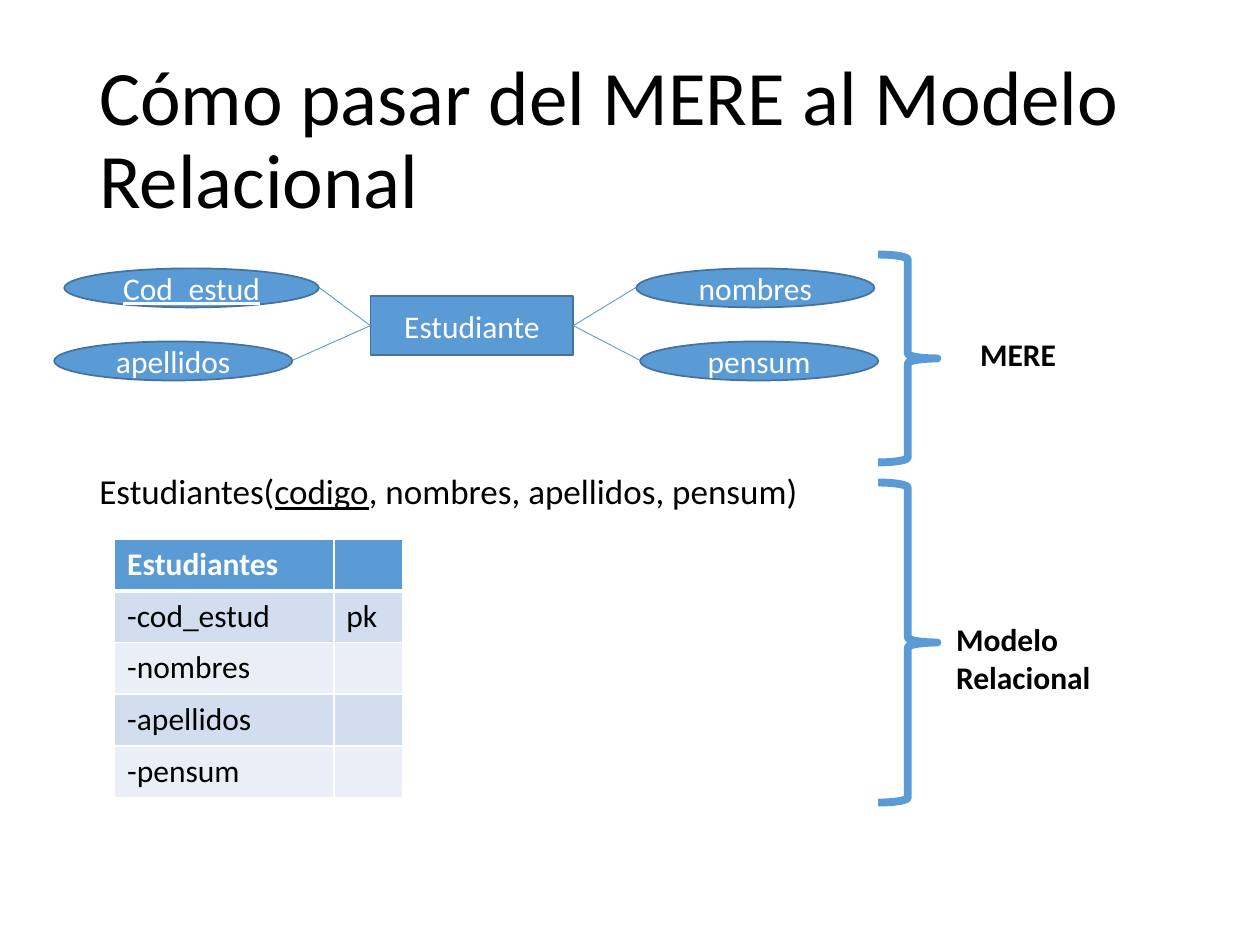
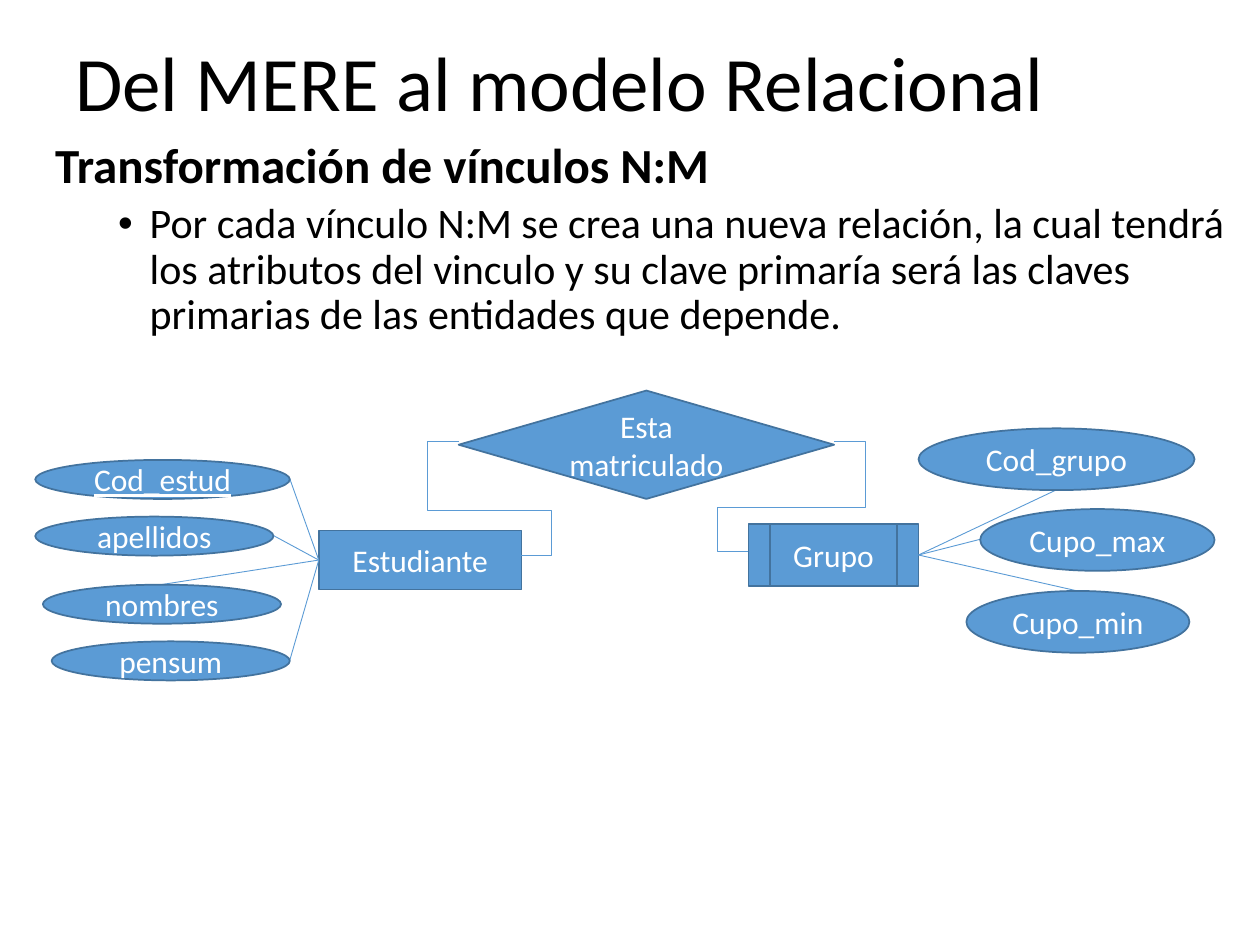
from dataclasses import dataclass
from typing import NamedTuple

from lxml.etree import SubElement
from pptx import Presentation
from pptx.dml.color import RGBColor
from pptx.enum.shapes import MSO_CONNECTOR, MSO_SHAPE
from pptx.enum.text import MSO_ANCHOR, MSO_AUTO_SIZE, PP_ALIGN
from pptx.oxml.ns import qn
from pptx.util import Pt

PX = 9144  # 100 px to the inch
LEFT, RIGHT = 1, 3  # connection sites of a rectangle


@dataclass(frozen=True)
class Theme:
    font: str = "Calibri"
    ink: str = "000000"
    white: str = "FFFFFF"
    accent: str = "5B9BD5"
    outline: str = "43739E"
    bands: tuple[str, str] = ("D2DEEF", "EAEFF7")
    title: int = 44
    heading: int = 28
    body: int = 24
    schema: int = 20
    label: int = 18
    thin: float = 0.5
    edge: float = 1
    brace: float = 4.5


THEME = Theme()


class Box(NamedTuple):
    left: int
    top: int
    width: int
    height: int

    def emu(self) -> list[int]:
        return [value * PX for value in self]

    def anchor(self, side: str) -> tuple[int, int]:
        middle_x = self.left + self.width // 2
        middle_y = self.top + self.height // 2
        return {
            "left": (self.left, middle_y),
            "right": (self.left + self.width, middle_y),
            "top": (middle_x, self.top),
            "bottom": (middle_x, self.top + self.height),
        }[side]


class Attribute(NamedTuple):
    label: str
    box: Box
    side: str  # side of the ellipse where its line ends
    entity_site: int
    key: bool = False


class Entity(NamedTuple):
    label: str
    box: Box
    attributes: list[Attribute]
    preset: MSO_SHAPE = MSO_SHAPE.RECTANGLE


def color(value: str) -> RGBColor:
    return RGBColor.from_string(value)


# Text
def write(para, text: str, *, size: int = THEME.label, ink: str = THEME.ink,
          bold: bool = False, underline: bool = False) -> None:
    span = para.add_run()
    span.text = text
    span.font.name = THEME.font
    span.font.size = Pt(size)
    span.font.bold = bold
    span.font.underline = underline
    span.font.color.rgb = color(ink)


def add_text_frame(slide, box: Box, *, wrap: bool = True):
    frame = slide.shapes.add_textbox(*box.emu()).text_frame
    frame.word_wrap = wrap
    frame.auto_size = MSO_AUTO_SIZE.NONE
    return frame


def add_title(slide, text: str, box: Box) -> None:
    frame = add_text_frame(slide, box)
    frame.vertical_anchor = MSO_ANCHOR.MIDDLE
    frame.paragraphs[0].line_spacing = 0.9
    write(frame.paragraphs[0], text, size=THEME.title)


def add_label(slide, lines: list[str], box: Box, *, wrap: bool = True) -> None:
    frame = add_text_frame(slide, box, wrap=wrap)
    for index, line in enumerate(lines):
        para = frame.add_paragraph() if index else frame.paragraphs[0]
        write(para, line, bold=True)


def set_bullet(para, margin: int, indent: int) -> None:
    properties = para._p.get_or_add_pPr()
    properties.set("marL", str(margin * PX))
    properties.set("indent", str(indent * PX))
    SubElement(properties, qn("a:buFont"), typeface="Arial")
    SubElement(properties, qn("a:buChar"), char="•")


# Shapes and lines
def add_node(slide, preset: MSO_SHAPE, label: str, box: Box, *, underline: bool = False):
    shape = slide.shapes.add_shape(preset, *box.emu())
    shape.shadow.inherit = False
    shape.fill.solid()
    shape.fill.fore_color.rgb = color(THEME.accent)
    shape.line.color.rgb = color(THEME.outline)
    shape.line.width = Pt(THEME.edge)
    frame = shape.text_frame
    frame.word_wrap = True
    frame.vertical_anchor = MSO_ANCHOR.MIDDLE
    frame.paragraphs[0].alignment = PP_ALIGN.CENTER
    write(frame.paragraphs[0], label, ink=THEME.white, underline=underline)
    return shape


def add_line(slide, kind: MSO_CONNECTOR, start: tuple[int, int], end: tuple[int, int]):
    points = [value * PX for value in (*start, *end)]
    line = slide.shapes.add_connector(kind, *points)
    line.line.color.rgb = color(THEME.accent)
    line.line.width = Pt(THEME.thin)
    SubElement(line._element.spPr, qn("a:effectLst"))
    return line


def add_looped_line(slide, start: tuple[int, int], end: tuple[int, int],
                    *, turn: float, stub: int = 25) -> None:
    """Five-part elbow that leaves each end by a stub and crosses at turn."""
    line = add_line(slide, MSO_CONNECTOR.ELBOW, start, end)
    geometry = line._element.spPr.find(qn("a:prstGeom"))
    geometry.set("prst", "bentConnector5")
    guides = geometry.find(qn("a:avLst"))
    if guides is None:
        guides = SubElement(geometry, qn("a:avLst"))
    reach = stub / abs(end[0] - start[0])
    for number, ratio in enumerate((-reach, turn, 1 + reach), start=1):
        SubElement(guides, qn("a:gd"), name=f"adj{number}",
                   fmla=f"val {round(ratio * 100000)}")


def add_entity(slide, entity: Entity) -> None:
    node = add_node(slide, entity.preset, entity.label, entity.box)
    for attribute in entity.attributes:
        start = entity.box.anchor("left" if attribute.entity_site == LEFT else "right")
        line = add_line(slide, MSO_CONNECTOR.STRAIGHT, start,
                        attribute.box.anchor(attribute.side))
        line.begin_connect(node, attribute.entity_site)
        add_node(slide, MSO_SHAPE.OVAL, attribute.label, attribute.box,
                 underline=attribute.key)


def add_brace(slide, box: Box) -> None:
    brace = slide.shapes.add_shape(MSO_SHAPE.RIGHT_BRACE, *box.emu())
    brace.shadow.inherit = False
    brace.fill.background()
    brace.line.color.rgb = color(THEME.accent)
    brace.line.width = Pt(THEME.brace)


# Table
def set_border(cell, edge: str, width: float) -> None:
    properties = cell._tc.get_or_add_tcPr()
    border = SubElement(properties, qn(f"a:ln{edge}"), w=str(Pt(width)))
    fill = SubElement(border, qn("a:solidFill"))
    SubElement(fill, qn("a:srgbClr"), val=THEME.white)


def add_relation_table(slide, rows: list[tuple[str, str]], left: int, top: int,
                       widths: list[int], row_height: int) -> None:
    box = Box(left, top, sum(widths), row_height * len(rows))
    table = slide.shapes.add_table(len(rows), len(widths), *box.emu()).table
    for column, width in zip(table.columns, widths):
        column.width = width * PX
    for row_index, row in enumerate(rows):
        table.rows[row_index].height = row_height * PX
        header = row_index == 0
        for column_index, text in enumerate(row):
            cell = table.cell(row_index, column_index)
            for edge in "LRTB":
                thick = (row_index, edge) in ((0, "B"), (1, "T"))
                set_border(cell, edge, 3 if thick else 1)
            cell.fill.solid()
            fill = THEME.accent if header else THEME.bands[(row_index - 1) % 2]
            cell.fill.fore_color.rgb = color(fill)
            if text:
                write(cell.text_frame.paragraphs[0], text, bold=header,
                      ink=THEME.white if header else THEME.ink)


# Slides
def build_entity_slide(slide) -> None:
    add_title(slide, "Cómo pasar del MERE al Modelo Relacional", Box(69, 40, 862, 145))
    add_entity(slide, Entity("Estudiante", Box(294, 235, 161, 47), [
        Attribute("Cod_estud", Box(51, 213, 202, 31), "right", LEFT, key=True),
        Attribute("nombres", Box(505, 213, 189, 31), "left", RIGHT),
        Attribute("apellidos", Box(43, 271, 189, 31), "right", LEFT),
        Attribute("pensum", Box(508, 271, 189, 31), "left", RIGHT),
    ]))

    schema = add_text_frame(slide, Box(69, 368, 579, 44), wrap=False).paragraphs[0]
    write(schema, "Estudiantes(", size=THEME.schema)
    write(schema, "codigo", size=THEME.schema, underline=True)
    write(schema, ", nombres, apellidos, pensum)", size=THEME.schema)

    rows = [("Estudiantes", ""), ("-cod_estud", "pk"), ("-nombres", ""),
            ("-apellidos", ""), ("-pensum", "")]
    add_relation_table(slide, rows, 91, 428, [174, 55], 41)

    add_brace(slide, Box(697, 202, 47, 165))
    add_label(slide, ["MERE"], Box(768, 261, 81, 40), wrap=False)
    add_brace(slide, Box(697, 383, 47, 254))
    add_label(slide, ["Modelo", "Relacional"], Box(749, 487, 161, 71))


def build_relationship_slide(slide) -> None:
    add_title(slide, "Del MERE al modelo Relacional", Box(50, 30, 900, 77))

    frame = add_text_frame(slide, Box(34, 107, 953, 236))
    heading = frame.paragraphs[0]
    heading.line_spacing = 0.9
    write(heading, "Transformación de vínculos N:M", size=THEME.heading, bold=True)
    rule = frame.add_paragraph()
    set_bullet(rule, 75, -25)
    rule.level = 1
    rule.line_spacing = 0.9
    rule.space_before = Pt(5)
    write(rule, "Por cada vínculo N:M se crea una nueva relación, la cual tendrá "
                "los atributos del vinculo y su clave primaría será las claves "
                "primarias de las entidades que depende.", size=THEME.body)

    add_entity(slide, Entity("Estudiante", Box(253, 421, 161, 47), [
        Attribute("Cod_estud", Box(28, 365, 202, 31), "right", LEFT, key=True),
        Attribute("nombres", Box(34, 464, 189, 31), "top", LEFT),
        Attribute("apellidos", Box(28, 410, 189, 31), "right", LEFT),
        Attribute("pensum", Box(41, 509, 189, 31), "right", LEFT),
    ]))
    add_entity(slide, Entity("Grupo", Box(594, 416, 135, 49), [
        Attribute("Cod_grupo", Box(729, 340, 219, 49), "bottom", RIGHT),
        Attribute("Cupo_min", Box(767, 469, 177, 49), "top", RIGHT),
        Attribute("Cupo_max", Box(778, 404, 186, 49), "left", RIGHT),
    ], MSO_SHAPE.FLOWCHART_PREDEFINED_PROCESS))

    add_node(slide, MSO_SHAPE.FLOWCHART_DECISION, "Esta matriculado",
             Box(364, 310, 298, 86))
    add_looped_line(slide, (413, 441), (364, 350), turn=0.39)
    add_looped_line(slide, (594, 438), (662, 350), turn=0.4)


def main() -> None:
    deck = Presentation()
    deck.slide_width, deck.slide_height = 1000 * PX, 750 * PX
    for build in (build_entity_slide, build_relationship_slide):
        page = deck.slides.add_slide(deck.slide_layouts[6])
        build(page)
    deck.save("out.pptx")


if __name__ == "__main__":
    main()
